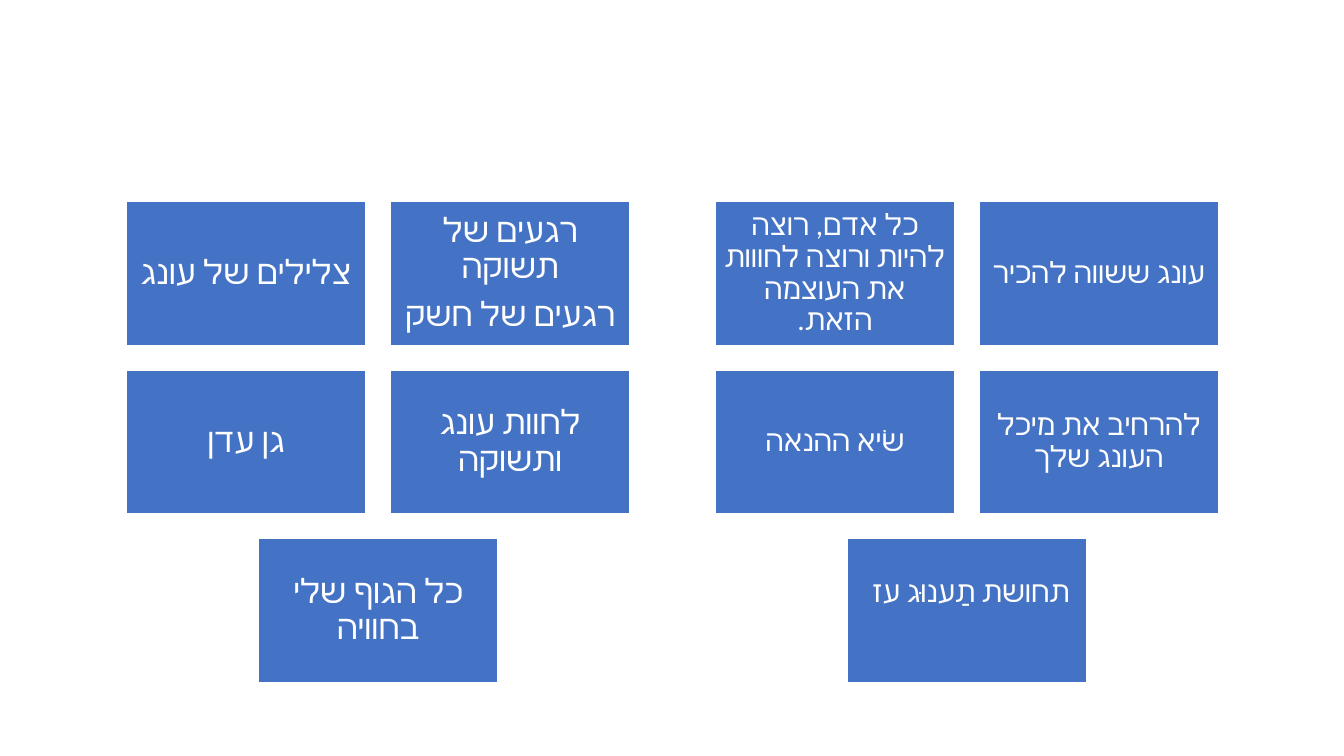
from dataclasses import dataclass

from lxml import etree
from pptx import Presentation
from pptx.dml.color import RGBColor
from pptx.enum.shapes import MSO_SHAPE
from pptx.enum.text import MSO_ANCHOR, PP_ALIGN
from pptx.oxml.ns import qn
from pptx.util import Inches, Pt

RECTANGLE = MSO_SHAPE.RECTANGLE
MIDDLE = MSO_ANCHOR.MIDDLE
CENTER = PP_ALIGN.CENTER

FONT = "Calibri"
BLUE, WHITE = "4472C4", "FFFFFF"

# Card grid, in inches
CARD_W, CARD_H = 2.38, 1.43
GAP = 0.24
GRID_TOP = 2.0


@dataclass
class Card:
    column: float
    row: int
    lines: list[str]
    extra_left: float = 0
    extra_bottom: float = 0


@dataclass
class Panel:
    left: float
    size: int
    inset: float
    cards: list[Card]


PANELS = [
    Panel(1.25, 24, 0.1, [
        Card(0, 0, ["צלילים של עונג"]),
        Card(1, 0, ["רגעים של תשוקה", "רגעים של חשק"]),
        Card(0, 1, ["גן עדן"]),
        Card(1, 1, ["לחוות עונג ותשוקה"]),
        Card(0.5, 2, ["כל הגוף שלי בחוויה"]),
    ]),
    Panel(7.09, 21, 0.09, [
        Card(0, 0, ["כל אדם, רוצה להיות ורוצה לחווות את העוצמה הזאת."]),
        Card(1, 0, ["עונג ששווה להכיר"]),
        Card(0, 1, ["שׂיא ההנאה"]),
        Card(1, 1, ["להרחיב את מיכל העונג שלך"]),
        Card(0.5, 2, ["תחושת תַענוּג עז"], extra_left=0.08, extra_bottom=0.34),
    ]),
]


def rgb(value: str) -> RGBColor:
    return RGBColor.from_string(value)


def set_all(target, values: dict) -> None:
    for name, value in values.items():
        setattr(target, name, value)


def write_line(p, text: str, size: int) -> None:
    """Write one centred right-to-left paragraph."""
    set_all(p, {"alignment": CENTER, "line_spacing": 0.9,
                "space_after": Pt(0.35 * size)})
    p._p.get_or_add_pPr().set("rtl", "1")
    r = p.add_run()
    r.text = text
    set_all(r.font, {"name": FONT, "size": Pt(size)})
    r.font.color.rgb = rgb(WHITE)
    # Hebrew takes the complex-script font
    etree.SubElement(r._r.get_or_add_rPr(), qn("a:cs")).set("typeface", FONT)


def draw_card(s, panel: Panel, card: Card) -> None:
    left = panel.left + card.column * (CARD_W + GAP)
    top = GRID_TOP + card.row * (CARD_H + GAP)
    sp = s.shapes.add_shape(RECTANGLE, Inches(left), Inches(top),
                            Inches(CARD_W), Inches(CARD_H))
    sp.shadow.inherit = False
    sp.fill.solid()
    sp.fill.fore_color.rgb = rgb(BLUE)
    sp.line.color.rgb = rgb(WHITE)
    sp.line.width = Pt(1)

    tf = sp.text_frame
    set_all(tf, {
        "word_wrap": True,
        "vertical_anchor": MIDDLE,
        "margin_left": Inches(panel.inset + card.extra_left),
        "margin_right": Inches(panel.inset),
        "margin_top": Inches(panel.inset),
        "margin_bottom": Inches(panel.inset + card.extra_bottom),
    })
    for i, text in enumerate(card.lines):
        p = tf.add_paragraph() if i else tf.paragraphs[0]
        write_line(p, text, panel.size)


def main() -> None:
    prs = Presentation()
    set_all(prs, {"slide_width": Inches(13.33), "slide_height": Inches(7.5)})
    s = prs.slides.add_slide(prs.slide_layouts[6])

    # Two panels of five cards
    for panel in PANELS:
        for card in panel.cards:
            draw_card(s, panel, card)
    prs.save("out.pptx")


if __name__ == "__main__":
    main()
